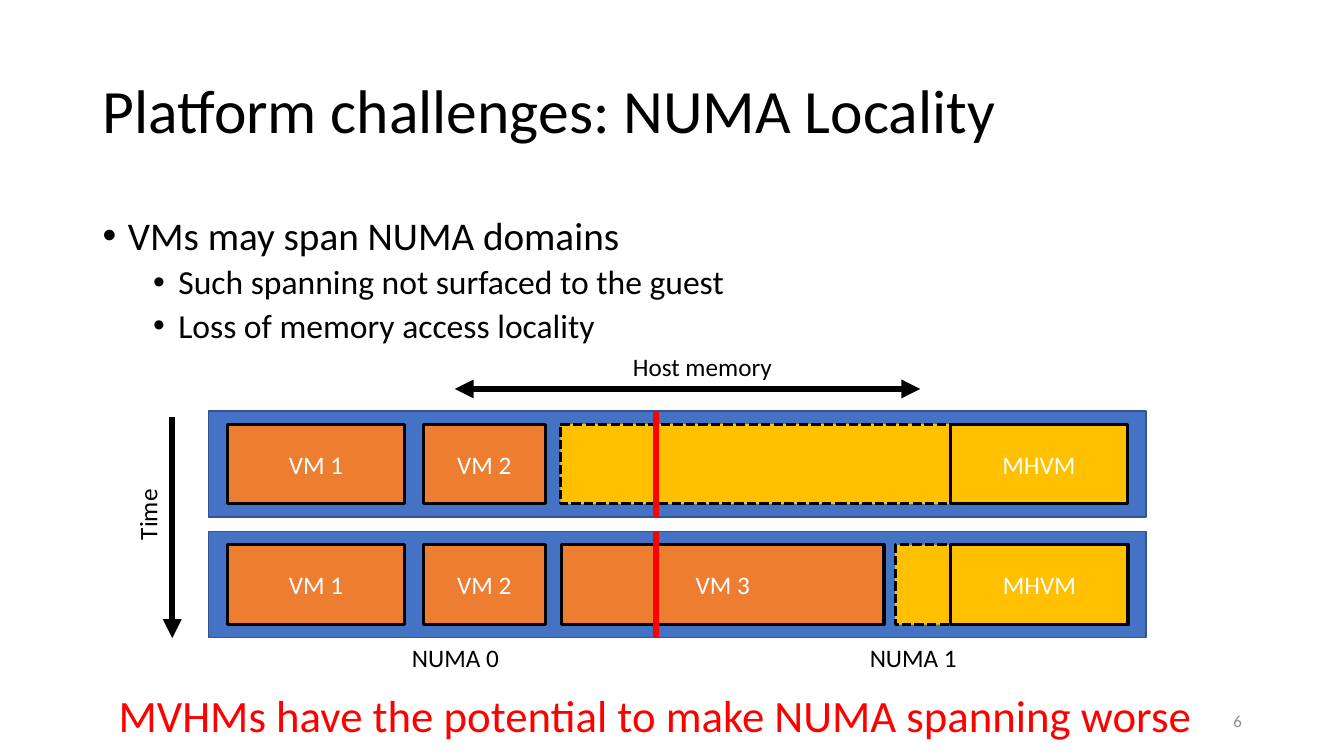
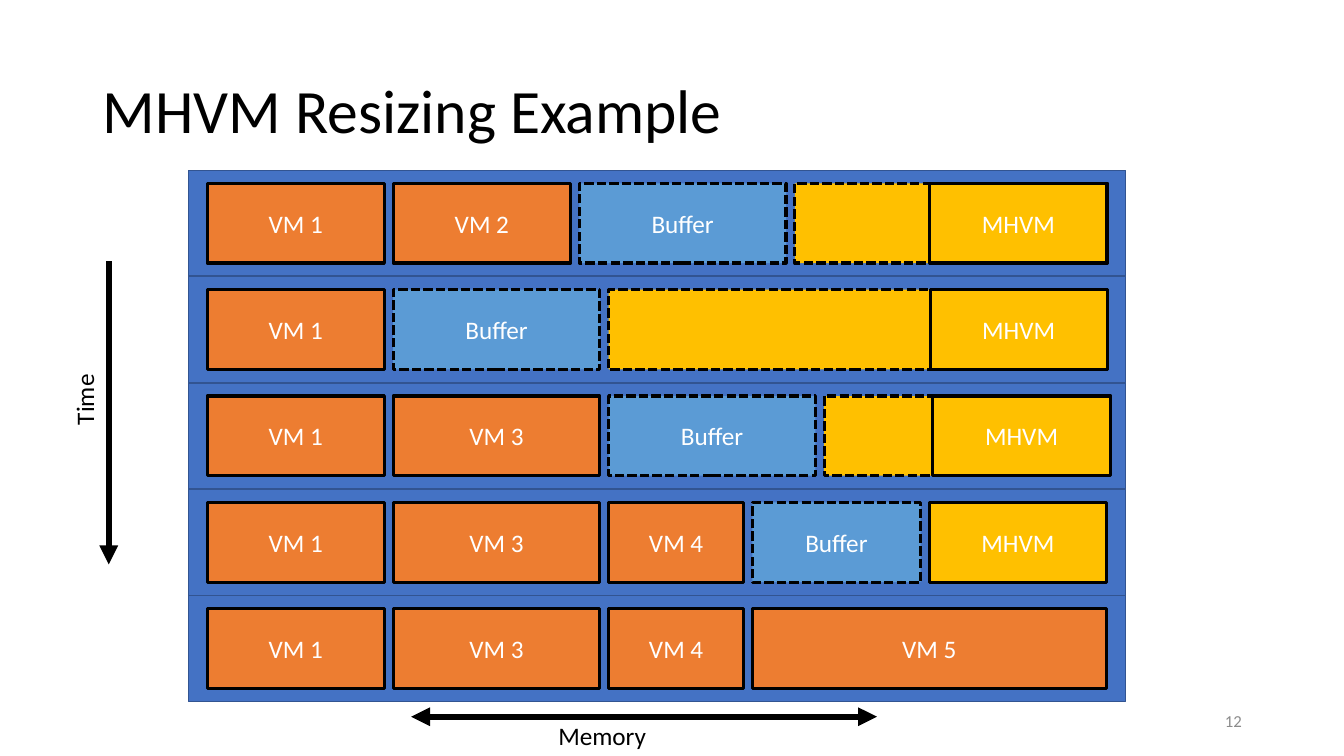
from lxml import etree
from pptx import Presentation
from pptx import util as u
from pptx.dml.color import RGBColor
from pptx.enum import dml, shapes, text
from pptx.oxml import ns

HUES = {"ink": "000000", "page": "FFFFFF", "band": "4472C4", "edge": "325491",
        "vm": "ED7D31", "mhvm": "FFC000", "free": "FFC000", "buffer": "5B9BD5",
        "alert": "FF0000", "foot": "8C8C8C"}
DASHED = ("free", "buffer")
FONT = "Calibri"
WIDE, BAND, UNIT = 23.62, 2.67, 4.47
BLOCK = 2.01
EDGE, GAP = 0.47, 0.22


def hue(name):
    """Return the named colour."""
    return RGBColor.from_string(HUES[name])


def style(par, size, color):
    """Format every run of a paragraph."""
    for run in par.runs:
        run.font.name = FONT
        run.font.size = u.Pt(size)
        run.font.color.rgb = hue(color)


def write(slide, box, words, size, color="ink", align=None, middle=False):
    """Place a wrapping text box and return its frame."""
    frame = slide.shapes.add_textbox(*map(u.Cm, box)).text_frame
    frame.word_wrap = True
    frame.text = words
    if middle:
        frame.vertical_anchor = text.MSO_ANCHOR.MIDDLE
    for par in frame.paragraphs:
        par.alignment = align
        style(par, size, color)
    return frame


def label(slide, box, words, size=18, color="ink", turn=0):
    """Place a one-line label that fits its text."""
    shape = slide.shapes.add_textbox(*map(u.Cm, box))
    frame = shape.text_frame
    frame.word_wrap = False
    frame.auto_size = text.MSO_AUTO_SIZE.SHAPE_TO_FIT_TEXT
    frame.text = words
    style(frame.paragraphs[0], size, color)
    shape.rotation = turn


def stroke(parts, start, end, color="ink", tips=()):
    """Draw a thick straight line with optional arrow tips."""
    line = parts.add_connector(shapes.MSO_CONNECTOR.STRAIGHT,
                               *map(u.Cm, start + end))
    line.line.color.rgb = hue(color)
    line.line.width = u.Pt(4.5)
    for tip in tips:
        node = etree.SubElement(line.line._get_or_add_ln(), ns.qn("a:" + tip))
        node.set("type", "triangle")
    etree.SubElement(line._element.spPr, ns.qn("a:effectLst"))


def rect(parts, box, fill, edge, weight):
    """Draw a filled rectangle."""
    shape = parts.add_shape(shapes.MSO_SHAPE.RECTANGLE, *map(u.Cm, box))
    shape.shadow.inherit = False
    shape.fill.solid()
    shape.fill.fore_color.rgb = hue(fill)
    shape.line.color.rgb = hue(edge)
    shape.line.width = u.Pt(weight)
    return shape


def block(parts, box, kind, words):
    """Draw one memory block."""
    shape = rect(parts, box, kind, "ink", 2.25)
    if kind in DASHED:
        shape.line.dash_style = dml.MSO_LINE.SQUARE_DOT
    if words:
        frame = shape.text_frame
        frame.text = words
        frame.vertical_anchor = text.MSO_ANCHOR.MIDDLE
        frame.paragraphs[0].alignment = text.PP_ALIGN.CENTER
        style(frame.paragraphs[0], 18, "page")


def band(slide, left, top, row, split=None):
    """Draw host memory with blocks of kind, words, gap and width."""
    parts = slide.shapes.add_group_shape().shapes
    rect(parts, (left, top, WIDE, BAND), "band", "edge", 1)
    x = left
    for kind, words, gap, width in row:
        x += gap
        block(parts, (x, top + (BAND - BLOCK) / 2, width, BLOCK), kind, words)
        x += width
    if split:
        stroke(parts, (left + split, top), (left + split, top + BAND), "alert")


def stack(slide, left, top, pitch, rows, split=None):
    """Draw bands one below another."""
    for i, row in enumerate(rows):
        band(slide, left, top + i * pitch, row, split)


def axes(slide, time, span, name, spot):
    """Draw the time arrow and the memory arrow with their labels."""
    x, top, low = time
    stroke(slide.shapes, (x, top), (x, low), tips=("tailEnd",))
    label(slide, (x - 1.52, (top + low) / 2 - 0.85, 1.8, 1.02), "Time", turn=270)
    left, right, y = span
    stroke(slide.shapes, (right, y), (left, y), tips=("headEnd", "tailEnd"))
    label(slide, spot, name)


def bullets(slide, box, items):
    """Write bulleted lines given as level and words."""
    frame = write(slide, box, "\n".join(words for _, words in items), 28)
    for par, (level, _) in zip(frame.paragraphs, items):
        par.level = level
        par.line_spacing = 0.9
        par.space_before = u.Pt(5 if level else 10)
        style(par, 24 if level else 28, "ink")
        prop = par._p.get_or_add_pPr()
        prop.set("marL", str(u.Inches(0.25 + 0.5 * level)))
        prop.set("indent", str(u.Inches(-0.25)))
        etree.SubElement(prop, ns.qn("a:buFont")).set("typeface", "Arial")
        etree.SubElement(prop, ns.qn("a:buChar")).set("char", "•")


def page(deck, title, number):
    """Add a blank slide with its title and number."""
    slide = deck.slides.add_slide(deck.slide_layouts[6])
    frame = write(slide, (2.34, 1.02, 29.21, 3.68), title, 44, middle=True)
    frame.paragraphs[0].line_spacing = 0.9
    write(slide, (23.93, 17.65, 7.62, 1.02), number, 12, "foot",
          text.PP_ALIGN.RIGHT, True)
    return slide


def numa(deck):
    """Build the locality slide."""
    slide = page(deck, "Platform challenges: NUMA Locality", "6")
    bullets(slide, (2.34, 5.33, 29.36, 12.09), [
        (0, "VMs may span NUMA domains"),
        (1, "Such spanning not surfaced to the guest"),
        (1, "Loss of memory access locality")])
    axes(slide, (4.34, 10.52, 16.08), (11.46, 23.19, 9.8),
         "Host memory", (15.7, 8.74, 4.22, 1.02))
    start = [("vm", "VM 1", EDGE, UNIT), ("vm", "VM 2", EDGE, 3.07)]
    last = ("mhvm", "MHVM", -UNIT, UNIT)
    stack(slide, 5.26, 10.36, 3.04, [
        start + [("free", "", 0.38, 14.3), last],
        start + [("vm", "VM 3", 0.41, 8.13), ("free", "", 0.28, 5.87), last],
    ], 11.28)
    for i, x in enumerate((10.13, 21.67)):
        label(slide, (x, 16.05, 2.74, 1.02), f"NUMA {i}")
    label(slide, (2.74, 17.2, 27.84, 1.63),
          "MVHMs have the potential to make NUMA spanning worse", 32, "alert")


def resize(deck):
    """Build the resizing slide."""
    slide = page(deck, "MHVM Resizing Example", "12")
    one = ("vm", "VM 1", EDGE, UNIT)
    three = ("vm", "VM 3", GAP, 5.21)
    four = ("vm", "VM 4", GAP, 3.4)
    spare = ("buffer", "Buffer", GAP, 5.21)
    last = ("mhvm", "MHVM", -UNIT, UNIT)
    stack(slide, 4.75, 4.29, 2.68, [
        [one, ("vm", "VM 2", GAP, UNIT), spare, ("free", "", GAP, 7.87), last],
        [one, spare, ("free", "", GAP, 12.57), last],
        [one, three, spare, ("free", "", GAP, 7.21), last],
        [one, three, four, ("buffer", "Buffer", GAP, 4.24),
         ("mhvm", "MHVM", GAP, UNIT)],
        [one, three, four, ("vm", "VM 5", GAP, 8.92)]])
    axes(slide, (2.74, 6.58, 14.22), (10.36, 22.1, 18.06),
         "Memory", (13.82, 18.03, 2.74, 1.02))


def main():
    """Build and save the deck."""
    deck = Presentation()
    deck.slide_width, deck.slide_height = u.Cm(33.87), u.Cm(19.05)
    numa(deck)
    resize(deck)
    deck.save("out.pptx")


if __name__ == "__main__":
    main()
